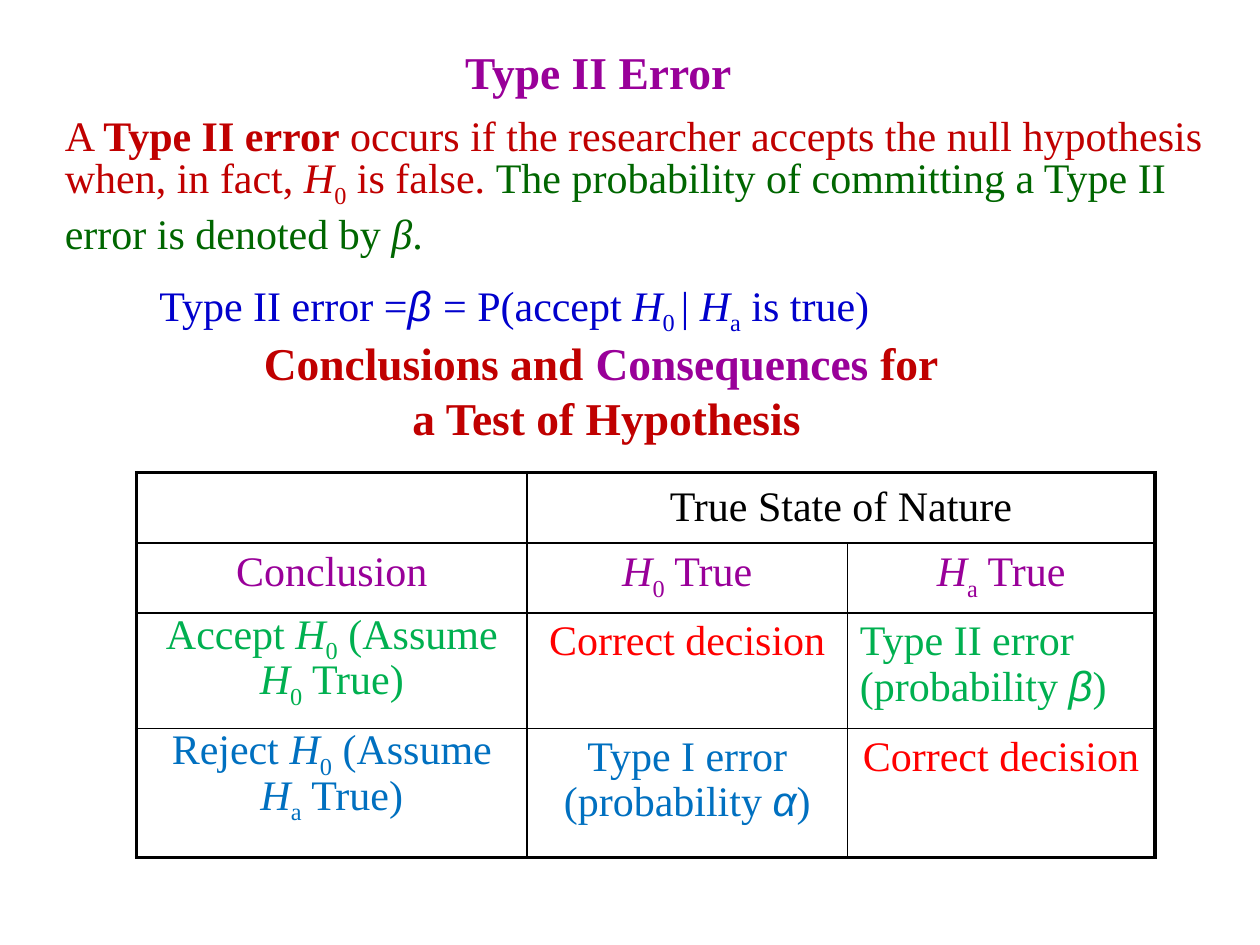
"""Builds a slide that explains the Type II error with a decision table."""
import dataclasses

import lxml.etree
import pptx
import pptx.dml.color
import pptx.enum.text
import pptx.oxml.ns
import pptx.util

ALIGN = pptx.enum.text.PP_ALIGN
ANCHOR = pptx.enum.text.MSO_ANCHOR


@dataclasses.dataclass(frozen=True)
class Theme:
    font: str = "Times New Roman"
    symbol_font: str = "Arial"
    heading_size: int = 26
    text_size: int = 24
    thick: float = 2.25
    thin: float = 1
    black: str = "000000"
    purple: str = "990099"
    crimson: str = "C00000"
    dark_green: str = "006600"
    navy: str = "0000CC"
    green: str = "00B050"
    red: str = "FF0000"
    blue: str = "0070C0"


class SlideBuilder:
    columns, rows = 120, 90

    def __init__(self, presentation, theme):
        self.theme = theme
        self.column = presentation.slide_width / self.columns
        self.row = presentation.slide_height / self.rows
        self.slide = presentation.slides.add_slide(presentation.slide_layouts[5])

    def place(self, left, top, width, height):
        return (round(left * self.column), round(top * self.row),
                round(width * self.column), round(height * self.row))

    def fill_text(self, frame, segments, color, size=None, bold=False,
                  align=ALIGN.LEFT, line=None, before=0):
        paragraph = frame.paragraphs[0]
        paragraph.alignment = align
        paragraph.space_before = pptx.util.Pt(before)
        if line:
            paragraph.line_spacing = pptx.util.Pt(line)
        paragraph.font.name = self.theme.font
        paragraph.font.size = pptx.util.Pt(size or self.theme.text_size)
        paragraph.font.bold = bold
        paragraph.font.color.rgb = pptx.dml.color.RGBColor.from_string(color)
        for text, marks, own_color in segments:
            if text == "\n":
                paragraph.add_line_break()
                continue
            run = paragraph.add_run()
            run.text = text
            if "bold" in marks:
                run.font.bold = True
            if "italic" in marks:
                run.font.italic = True
            if "symbol" in marks:
                run.font.name = self.theme.symbol_font
            if "subscript" in marks:
                run._r.get_or_add_rPr().set("baseline", "-25000")
            if own_color:
                run.font.color.rgb = pptx.dml.color.RGBColor.from_string(own_color)

    def prepare(self, shape, anchor):
        frame = shape.text_frame
        frame.word_wrap = True
        frame.auto_size = pptx.enum.text.MSO_AUTO_SIZE.NONE
        frame.vertical_anchor = anchor
        return frame

    def title(self, place, text):
        shape = self.slide.shapes.title
        shape.left, shape.top, shape.width, shape.height = self.place(*place)
        self.fill_text(self.prepare(shape, ANCHOR.MIDDLE), [plain(text)], self.theme.purple,
                       self.theme.heading_size, True, ALIGN.CENTER)

    def text(self, place, segments, color, anchor=ANCHOR.TOP, **style):
        shape = self.slide.shapes.add_textbox(*self.place(*place))
        self.fill_text(self.prepare(shape, anchor), segments, color, **style)

    def border(self, cell, at_edges):
        properties = cell._tc.get_or_add_tcPr()
        for tag, at_edge in zip(("a:lnL", "a:lnR", "a:lnT", "a:lnB"), at_edges):
            width = self.theme.thick if at_edge else self.theme.thin
            line = lxml.etree.SubElement(properties, pptx.oxml.ns.qn(tag),
                                         w=str(pptx.util.Pt(width)))
            fill = lxml.etree.SubElement(line, pptx.oxml.ns.qn("a:solidFill"))
            lxml.etree.SubElement(fill, pptx.oxml.ns.qn("a:srgbClr"), val=self.theme.black)

    def table(self, left, top, widths, heights, contents):
        place = self.place(left, top, sum(widths), sum(heights))
        table = self.slide.shapes.add_table(len(heights), len(widths), *place).table
        table.first_row = table.horz_banding = False
        for column, width in zip(table.columns, widths):
            column.width = round(width * self.column)
        for row, height in zip(table.rows, heights):
            row.height = round(height * self.row)
        table.cell(0, 1).merge(table.cell(0, 2))
        last_row, last_column = len(heights) - 1, len(widths) - 1
        for r in range(len(heights)):
            for c in range(len(widths)):
                cell = table.cell(r, c)
                right = c + (cell.span_width if cell.is_merge_origin else 1) - 1
                self.border(cell, (c == 0, right == last_column, r == 0, r == last_row))
                cell.fill.background()
                if (r, c) in contents:
                    segments, color, align = contents[r, c]
                    spacing = {"before": 5} if r < 2 else {"line": 26}
                    self.fill_text(cell.text_frame, segments, color, align=align, **spacing)
        table.cell(0, 1).vertical_anchor = ANCHOR.MIDDLE


def plain(text, color=None):
    return text, (), color


def hypothesis(index):
    return [("H", ("italic",), None), (index, ("subscript",), None)]


def symbol(text):
    return text, ("italic", "symbol"), None


def decision(verb, assumed):
    return [plain(verb + " "), *hypothesis("0"), plain(" (Assume "),
            *hypothesis(assumed), plain(" True)")]


def error(kind, letter):
    return [plain(f"Type {kind} error (probability "), symbol(letter), plain(")")]


def main():
    presentation = pptx.Presentation()
    presentation.slide_width = pptx.util.Inches(10)
    presentation.slide_height = pptx.util.Inches(7.5)
    theme = Theme()
    builder = SlideBuilder(presentation, theme)

    builder.title((39, 3, 36, 7.5), "Type II Error")
    builder.text((5, 10, 111, 15), [
        plain("A "), ("Type II error", ("bold",), None),
        plain(" occurs if the researcher accepts the null hypothesis when, in fact, "),
        *hypothesis("0"), plain(" is false. "),
        plain("The probability of committing a Type II error is denoted by ", theme.dark_green),
        ("β", ("italic",), theme.dark_green), plain(".", theme.dark_green),
    ], theme.crimson, line=28)
    builder.text((14, 26, 78.75, 6), [
        plain("Type II error ="), symbol("β "), plain("= P(accept "),
        *hypothesis("0 "), plain("| "), *hypothesis("a"), plain(" is true)"),
    ], theme.navy, before=12)
    builder.text((16.25, 33.4, 82, 7.5), [
        plain("Conclusions and "), plain("Consequences", theme.purple), plain(" for"),
        plain("\n"), plain(" a Test of Hypothesis"),
    ], theme.crimson, ANCHOR.MIDDLE, size=theme.heading_size, bold=True, align=ALIGN.CENTER)

    center = ALIGN.CENTER
    correct = [plain("Correct decision")], theme.red, center
    builder.table(13, 45, (37.2, 30.5, 29.3), (6.7, 6.7, 11, 12.25), {
        (0, 1): ([plain("True State of Nature")], theme.black, center),
        (1, 0): ([plain("Conclusion")], theme.purple, center),
        (1, 1): ([*hypothesis("0"), plain(" True")], theme.purple, center),
        (1, 2): ([*hypothesis("a"), plain(" True")], theme.purple, center),
        (2, 0): (decision("Accept", "0"), theme.green, center),
        (2, 1): correct,
        (2, 2): (error("II", "β"), theme.green, ALIGN.LEFT),
        (3, 0): (decision("Reject", "a"), theme.blue, center),
        (3, 1): (error("I", "α"), theme.blue, center),
        (3, 2): correct,
    })
    presentation.save("out.pptx")


if __name__ == "__main__":
    main()
